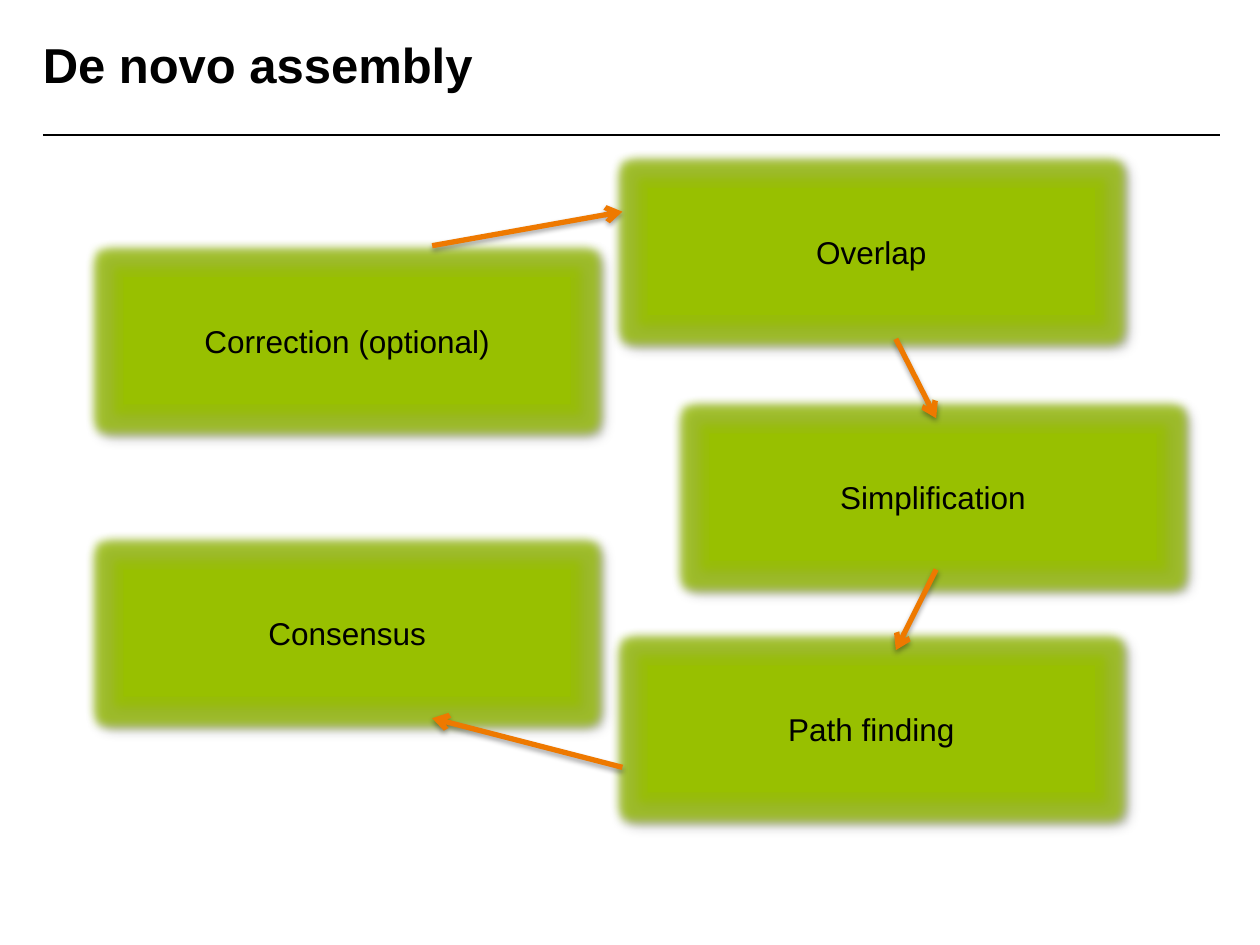
"""Build a slide showing the stages of de novo assembly as a cycle of boxes."""
import lxml.etree
import pptx
import pptx.dml.color
import pptx.enum.shapes
import pptx.enum.text
import pptx.oxml.ns
import pptx.util

Inches = pptx.util.Inches
Pt = pptx.util.Pt
BLACK = pptx.dml.color.RGBColor(0x00, 0x00, 0x00)
GREEN = pptx.dml.color.RGBColor(0x98, 0xC0, 0x00)
ORANGE = pptx.dml.color.RGBColor(0xEE, 0x79, 0x00)
BOX_WIDTH, BOX_HEIGHT = 3.55, 1.01
STAGES = [
    ("Correction (optional)", 0.98, 2.2),
    ("Overlap", 5.14, 1.49),
    ("Simplification", 5.63, 3.44),
    ("Path finding", 5.14, 5.28),
    ("Consensus", 0.98, 4.52),
]
ARROWS = [
    (3.43, 1.95, 4.94, 1.68),
    (7.11, 2.69, 7.43, 3.32),
    (7.43, 4.52, 7.11, 5.16),
    (4.94, 6.09, 3.43, 5.7),
]


def add_element(parent, tag, **attributes):
    """Append a DrawingML element with the given attributes."""
    element = lxml.etree.SubElement(parent, pptx.oxml.ns.qn("a:" + tag))
    for name, value in attributes.items():
        element.set(name, str(value))
    return element


def add_effect_color(effect, color, opacity):
    """Give an effect a colour with an opacity in percent."""
    fill = add_element(effect, "srgbClr", val=color)
    add_element(fill, "alpha", val=opacity * 1000)


def add_shadow(effects, opacity, blur, distance, angle):
    """Add a black outer shadow to an effect list."""
    shadow = add_element(effects, "outerShdw", blurRad=Pt(blur), dist=Pt(distance),
                         dir=angle * 60000, algn="tl", rotWithShape=0)
    add_effect_color(shadow, BLACK, opacity)


def format_text(para, size, bold=False):
    """Set the font of every run in a paragraph."""
    for span in para.runs:
        span.font.name = "Arial"
        span.font.size = Pt(size)
        span.font.bold = bold
        span.font.color.rgb = BLACK


def set_title(page, text):
    """Place and fill the title placeholder."""
    title = page.shapes.title
    title.left, title.top = Inches(0.34), Inches(0.23)
    title.width, title.height = Inches(7.27), Inches(0.63)
    frame = title.text_frame
    frame.margin_left = frame.margin_right = 0
    frame.margin_top = frame.margin_bottom = 0
    frame.vertical_anchor = pptx.enum.text.MSO_ANCHOR.TOP
    frame.auto_size = pptx.enum.text.MSO_AUTO_SIZE.NONE
    frame.text = text
    para = frame.paragraphs[0]
    para.alignment = pptx.enum.text.PP_ALIGN.LEFT
    para.line_spacing = 1.1
    format_text(para, 28, bold=True)


def add_stage(page, text, left, top):
    """Add a glowing green box with a centred label."""
    box = page.shapes.add_shape(
        pptx.enum.shapes.MSO_SHAPE.RECTANGLE,
        Inches(left), Inches(top), Inches(BOX_WIDTH), Inches(BOX_HEIGHT))
    box.fill.solid()
    box.fill.fore_color.rgb = GREEN
    box.line.fill.background()
    effects = add_element(box.element.spPr, "effectLst")
    glow = add_element(effects, "glow", rad=Pt(11))
    add_effect_color(glow, GREEN, 75)
    add_shadow(effects, 43, 4, 3, 45)
    frame = box.text_frame
    frame.word_wrap = True
    frame.vertical_anchor = pptx.enum.text.MSO_ANCHOR.MIDDLE
    frame.text = text
    para = frame.paragraphs[0]
    para.alignment = pptx.enum.text.PP_ALIGN.CENTER
    format_text(para, 18)


def add_line(page, ends, color, width):
    """Add a straight line and return it with its empty effect list."""
    line = page.shapes.add_connector(
        pptx.enum.shapes.MSO_CONNECTOR.STRAIGHT, *[Inches(value) for value in ends])
    line.line.color.rgb = color
    line.line.width = Pt(width)
    return line, add_element(line.element.spPr, "effectLst")


def add_arrow(page, ends):
    """Add an orange arrow with a soft shadow."""
    arrow, effects = add_line(page, ends, ORANGE, 3)
    add_element(arrow.line.fill._xPr, "tailEnd", type="arrow")
    add_shadow(effects, 35, 3.1, 1.8, 90)


def main():
    """Build and save the deck."""
    deck = pptx.Presentation()
    deck.slide_width, deck.slide_height = Inches(10), Inches(7.5)
    page = deck.slides.add_slide(deck.slide_layouts.get_by_name("Title Only"))
    add_line(page, (0.34, 1.07, 9.68, 1.07), BLACK, 1)
    set_title(page, "De novo assembly")
    for stage in STAGES:
        add_stage(page, *stage)
    for ends in ARROWS:
        add_arrow(page, ends)
    deck.save("out.pptx")


if __name__ == "__main__":
    main()
